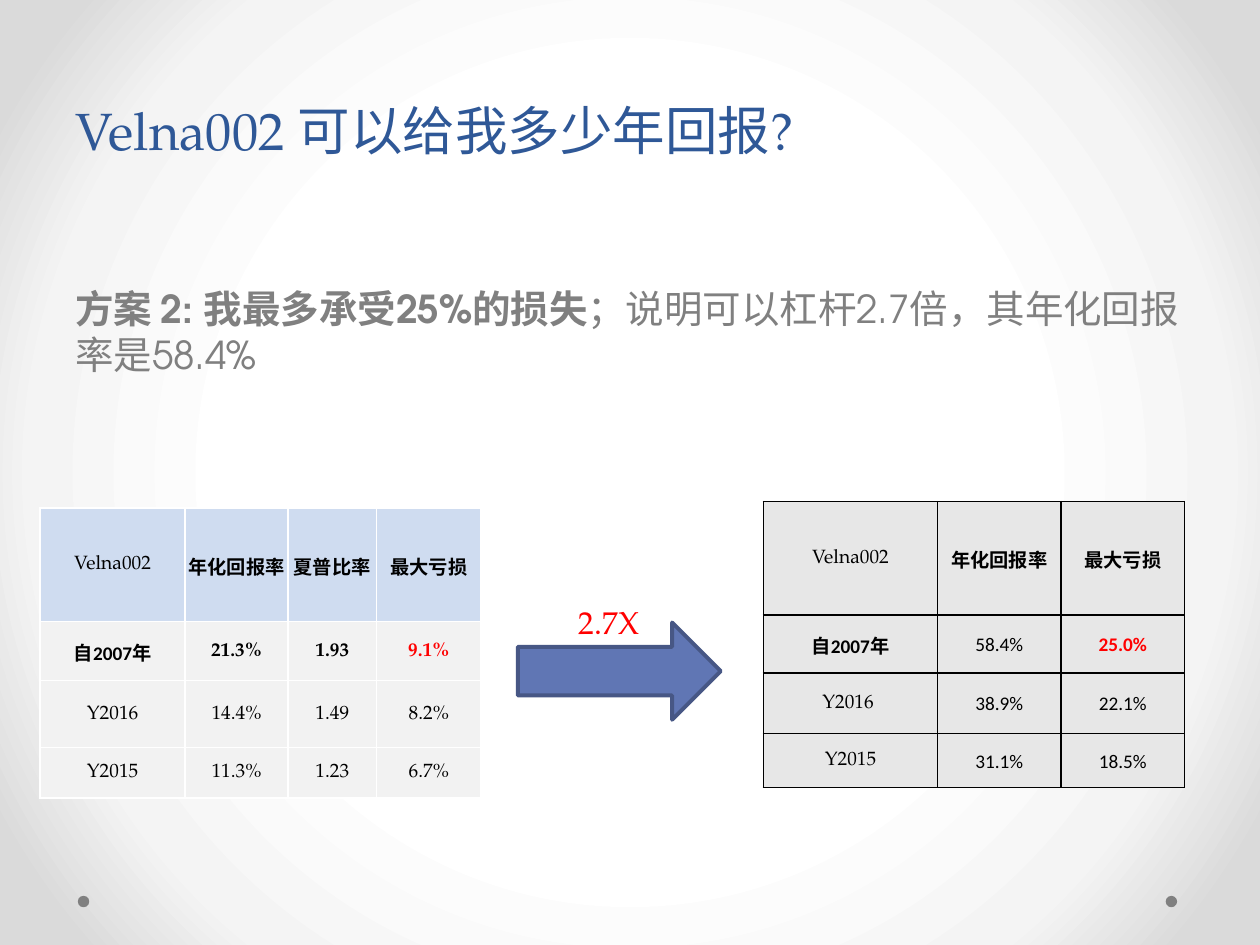
from dataclasses import dataclass

from lxml import etree
from pptx import Presentation
from pptx.dml.color import RGBColor
from pptx.enum.shapes import MSO_SHAPE
from pptx.enum.text import MSO_ANCHOR, PP_ALIGN
from pptx.oxml.ns import qn
from pptx.slide import Slide
from pptx.table import _Cell
from pptx.util import Cm, Pt

RIGHT_ARROW, OVAL = MSO_SHAPE.RIGHT_ARROW, MSO_SHAPE.OVAL
MIDDLE = MSO_ANCHOR.MIDDLE
LEFT, CENTER = PP_ALIGN.LEFT, PP_ALIGN.CENTER

STRATEGY = "Velna002"
SERIF, SANS, HEADING_FONT = "TeX Gyre Pagella", "TeX Gyre Adventor", "Calibri"
BLACK = RGBColor(0x00, 0x00, 0x00)
WHITE = RGBColor(0xFF, 0xFF, 0xFF)
RED = RGBColor(0xFF, 0x00, 0x00)
GRAY = RGBColor(0x80, 0x80, 0x80)
TITLE_BLUE = RGBColor(0x2F, 0x58, 0x97)
HEADER_BLUE = RGBColor(0xCF, 0xDC, 0xF0)
PALE_GRAY = RGBColor(0xF2, 0xF2, 0xF2)
CELL_GRAY = RGBColor(0xE7, 0xE7, 0xE7)
ARROW_BLUE = RGBColor(0x60, 0x76, 0xB4)
ARROW_EDGE = RGBColor(0x47, 0x57, 0x85)
BACKGROUND_STOPS = (
    (50, WHITE),
    (76, RGBColor(0xF4, 0xF4, 0xF4)),
    (92, RGBColor(0xDA, 0xDA, 0xDA)),
)


@dataclass(frozen=True)
class ReturnTable:
    left: float
    top: float
    widths: tuple[float, ...]
    heights: tuple[float, ...]
    rows: tuple[tuple[str, ...], ...]
    number_font: str
    header_fill: RGBColor
    body_fill: RGBColor
    border: RGBColor
    bold_columns: tuple[int, ...]  # bold figures in the "since 2007" row


BASE_TABLE = ReturnTable(
    0.81, 10.24, (2.92, 2.08, 1.78, 2.11), (2.29, 1.19, 1.35, 1.02),
    (
        (STRATEGY, "年化回报率", "夏普比率", "最大亏损"),
        ("自2007年", "21.3%", "1.93", "9.1%"),
        ("Y2016", "14.4%", "1.49", "8.2%"),
        ("Y2015", "11.3%", "1.23", "6.7%"),
    ),
    SERIF, HEADER_BLUE, PALE_GRAY, WHITE, (1, 2, 3),
)
LEVERAGED_TABLE = ReturnTable(
    15.39, 10.11, (3.51, 2.49, 2.49), (2.29, 1.17, 1.22, 1.09),
    (
        (STRATEGY, "年化回报率", "最大亏损"),
        ("自2007年", "58.4%", "25.0%"),
        ("Y2016 ", "38.9%", "22.1%"),
        ("Y2015", "31.1%", "18.5%"),
    ),
    HEADING_FONT, CELL_GRAY, CELL_GRAY, BLACK, (2,),
)


def set_background(slide: Slide) -> None:
    """Fill the background with a circular gradient."""
    slide.background.fill.gradient()
    gradient = slide.element.find(".//" + qn("a:gradFill"))
    for child in list(gradient):
        gradient.remove(child)
    stops = etree.SubElement(gradient, qn("a:gsLst"))
    for percent, color in BACKGROUND_STOPS:
        stop = etree.SubElement(stops, qn("a:gs"), pos=str(percent * 1000))
        etree.SubElement(stop, qn("a:srgbClr"), val=str(color))
    circle = etree.SubElement(gradient, qn("a:path"), {"path": "circle"})
    etree.SubElement(circle, qn("a:fillToRect"), dict.fromkeys("ltrb", "50000"))


def set_borders(cell: _Cell, color: RGBColor) -> None:
    properties = cell._tc.get_or_add_tcPr()
    for index, side in enumerate(("lnL", "lnR", "lnT", "lnB")):
        line = etree.Element(qn(f"a:{side}"), w=str(Pt(1)))
        fill = etree.SubElement(line, qn("a:solidFill"))
        etree.SubElement(fill, qn("a:srgbClr"), val=str(color))
        properties.insert(index, line)


def style_font(font, name: str, size: float, color: RGBColor, bold: bool = False) -> None:
    font.name, font.size, font.bold = name, Pt(size), bold
    font.color.rgb = color


def add_return_table(slide: Slide, data: ReturnTable) -> None:
    table = slide.shapes.add_table(
        len(data.heights), len(data.widths), Cm(data.left), Cm(data.top),
        Cm(sum(data.widths)), Cm(sum(data.heights)),
    ).table
    table.first_row = table.horz_banding = False
    for column, width in zip(table.columns, data.widths):
        column.width = Cm(width)
    for row, height in zip(table.rows, data.heights):
        row.height = Cm(height)

    last_column = len(data.widths) - 1
    for row_index, texts in enumerate(data.rows):
        for column_index, text in enumerate(texts):
            cell = table.cell(row_index, column_index)
            cell.text = text
            cell.vertical_anchor = MIDDLE
            cell.margin_left = cell.margin_right = cell.margin_top = Cm(0.03)
            cell.margin_bottom = 0
            cell.fill.solid()
            cell.fill.fore_color.rgb = data.body_fill if row_index else data.header_fill
            set_borders(cell, data.border)

            is_heading = (row_index == 0) != (column_index == 0) and row_index < 2
            if is_heading:
                font_name = HEADING_FONT
            else:
                font_name = data.number_font if column_index else SERIF
            is_bold = is_heading or (row_index == 1 and column_index in data.bold_columns)
            is_key_loss = (row_index, column_index) == (1, last_column)
            paragraph = cell.text_frame.paragraphs[0]
            paragraph.alignment = CENTER
            style_font(paragraph.font, font_name, 11, RED if is_key_loss else BLACK, is_bold)


def add_plain_shape(slide: Slide, kind, left: float, top: float,
                    width: float, height: float, color: RGBColor):
    shape = slide.shapes.add_shape(kind, Cm(left), Cm(top), Cm(width), Cm(height))
    shape.shadow.inherit = False
    shape.fill.solid()
    shape.fill.fore_color.rgb = color
    shape.line.fill.background()
    return shape


def add_title(slide: Slide) -> None:
    title = slide.shapes.title
    title.left, title.top, title.width, title.height = Cm(1.27), Cm(0), Cm(22.86), Cm(4.45)
    title.text_frame.text = f"{STRATEGY} 可以给我多少年回报?"
    title.text_frame.vertical_anchor = MIDDLE
    paragraph = title.text_frame.paragraphs[0]
    paragraph.alignment = LEFT
    paragraph.line_spacing = Pt(58)
    style_font(paragraph.font, SERIF, 30, TITLE_BLUE)


def add_scenario(slide: Slide) -> None:
    frame = slide.shapes.add_textbox(Cm(1.27), Cm(4.45), Cm(22.86), Cm(3.35)).text_frame
    frame.word_wrap = True
    frame.margin_top = Cm(1.29)
    for text, bold in (
        ("方案 2: 我最多承受25%的损失", True),
        ("；说明可以杠杆2.7倍，其年化回报率是58.4%", False),
    ):
        run = frame.paragraphs[0].add_run()
        run.text = text
        style_font(run.font, SANS, 22, GRAY, bold)


def add_leverage_label(slide: Slide) -> None:
    frame = slide.shapes.add_textbox(Cm(11.38), Cm(12.14), Cm(1.8), Cm(0.79)).text_frame
    frame.word_wrap = True
    frame.margin_left = frame.margin_right = frame.margin_top = frame.margin_bottom = 0
    frame.vertical_anchor = MIDDLE
    frame.text = "2.7X"
    paragraph = frame.paragraphs[0]
    paragraph.alignment = CENTER
    style_font(paragraph.font, SERIF, 18, RED)


def main() -> None:
    presentation = Presentation()
    presentation.slide_width, presentation.slide_height = Cm(25.4), Cm(19.05)
    slide = presentation.slides.add_slide(presentation.slide_layouts[5])
    set_background(slide)
    add_title(slide)

    # Footer dots
    for left in (23.5, 1.57):
        add_plain_shape(slide, OVAL, left, 18.06, 0.23, 0.23, GRAY)

    # Scenario and its two tables, joined by the leverage arrow
    add_return_table(slide, BASE_TABLE)
    add_scenario(slide)
    add_leverage_label(slide)
    add_return_table(slide, LEVERAGED_TABLE)
    arrow = add_plain_shape(slide, RIGHT_ARROW, 10.44, 12.55, 4.09, 1.96, ARROW_BLUE)
    arrow.line.color.rgb = ARROW_EDGE
    arrow.line.width = Pt(2.25)

    presentation.save("out.pptx")


if __name__ == "__main__":
    main()
